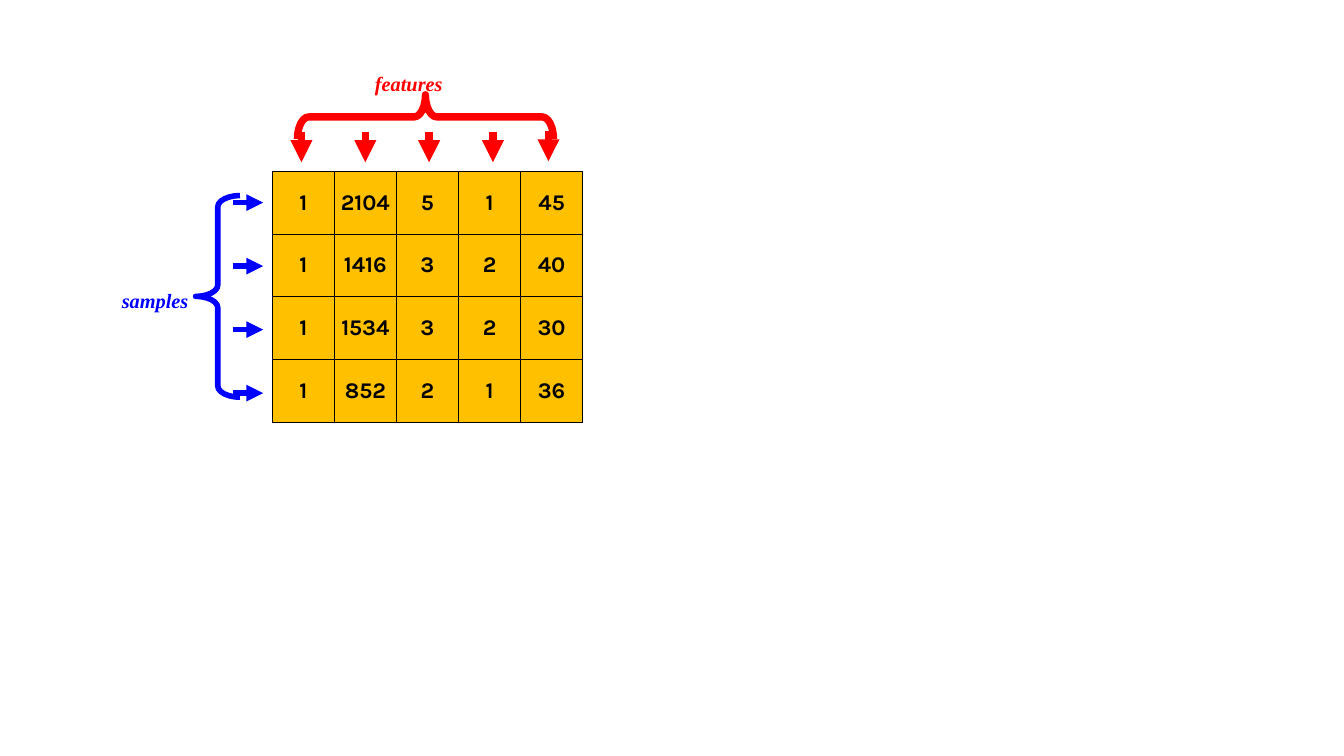
import pptx
import pptx.util
import pptx.dml.color
import pptx.enum.shapes
import pptx.enum.text
import pptx.oxml
import pptx.oxml.ns
from lxml import etree

Inches = pptx.util.Inches
Pt = pptx.util.Pt
RGBColor = pptx.dml.color.RGBColor
qn = pptx.oxml.ns.qn

BLACK = RGBColor(0x00, 0x00, 0x00)
AMBER = RGBColor(0xFF, 0xC0, 0x00)
RED = RGBColor(0xFF, 0x00, 0x00)
BLUE = RGBColor(0x00, 0x00, 0xFF)

SAMPLES = [
    [1, 2104, 5, 1, 45],
    [1, 1416, 3, 2, 40],
    [1, 1534, 3, 2, 30],
    [1, 852, 2, 1, 36],
]


class MatrixSlide:
    table_font = "Karla"
    label_font = "Times New Roman"

    def __init__(self, presentation):
        self.slide = presentation.slides.add_slide(presentation.slide_layouts[6])

    def format_font(self, paragraph, name, size, color, italic=False):
        for run in paragraph.runs:
            run.font.name = name
            run.font.size = Pt(size)
            run.font.bold = True
            run.font.italic = italic
            run.font.color.rgb = color

    def border_cell(self, cell):
        properties = cell._tc.get_or_add_tcPr()
        for position, side in enumerate(("a:lnL", "a:lnR", "a:lnT", "a:lnB")):
            border = etree.Element(qn(side), w=str(Pt(1)))
            fill = etree.SubElement(border, qn("a:solidFill"))
            etree.SubElement(fill, qn("a:srgbClr"), val=str(BLACK))
            properties.insert(position, border)

    def table(self, values, left, top, width, height):
        frame = self.slide.shapes.add_table(
            len(values), len(values[0]),
            Inches(left), Inches(top), Inches(width), Inches(height))
        table = frame.table
        table.first_row = False
        table.horz_banding = False
        for row, row_values in enumerate(values):
            for column, value in enumerate(row_values):
                cell = table.cell(row, column)
                cell.fill.solid()
                cell.fill.fore_color.rgb = AMBER
                cell.margin_left = cell.margin_right = Inches(0.02)
                cell.margin_top = cell.margin_bottom = Inches(0.01)
                cell.vertical_anchor = pptx.enum.text.MSO_ANCHOR.MIDDLE
                cell.text_frame.text = str(value)
                paragraph = cell.text_frame.paragraphs[0]
                paragraph.alignment = pptx.enum.text.PP_ALIGN.CENTER
                self.format_font(paragraph, self.table_font, 16, BLACK)
                self.border_cell(cell)

    def label(self, text, left, top, width, height, color):
        box = self.slide.shapes.add_textbox(
            Inches(left), Inches(top), Inches(width), Inches(height))
        frame = box.text_frame
        frame.word_wrap = False
        frame.auto_size = pptx.enum.text.MSO_AUTO_SIZE.SHAPE_TO_FIT_TEXT
        frame.text = text
        self.format_font(frame.paragraphs[0], self.label_font, 14.5, color, italic=True)

    def group(self):
        return self.slide.shapes.add_group_shape().shapes

    def arrow(self, shapes, start, end, color, weight):
        connector = shapes.add_connector(
            pptx.enum.shapes.MSO_CONNECTOR.STRAIGHT,
            Inches(start[0]), Inches(start[1]), Inches(end[0]), Inches(end[1]))
        connector.line.color.rgb = color
        connector.line.width = Pt(weight)
        etree.SubElement(connector.line._get_or_add_ln(), qn("a:tailEnd"), type="triangle")
        etree.SubElement(connector._element.spPr, qn("a:effectLst"))

    def brace(self, shapes, left, top, width, height, rotation, color, weight):
        shape = shapes.add_shape(
            pptx.enum.shapes.MSO_SHAPE.RIGHT_BRACE,
            Inches(left), Inches(top), Inches(width), Inches(height))
        shape.rotation = rotation
        shape.adjustments[0] = 0.254
        shape.adjustments[1] = 0.5
        shape.shadow.inherit = False
        shape.fill.background()
        shape.line.color.rgb = color
        shape.line.width = Pt(weight)


def main():
    presentation = pptx.Presentation()
    presentation.slide_width = Inches(13.33)
    presentation.slide_height = Inches(7.5)
    matrix = MatrixSlide(presentation)

    # Data matrix
    matrix.table(SAMPLES, 2.7, 1.7, 3.08, 2.49)

    # Features: arrows onto the columns, under a brace
    matrix.label("features", 3.62, 0.66, 0.88, 0.35, RED)
    features = matrix.group()
    for column in range(4):
        x = 2.99 + 0.633 * column
        matrix.arrow(features, (x, 1.31), (x, 1.61), RED, 5.25)
    matrix.brace(features, 4, -0.11, 0.44, 2.54, 270, RED, 5.25)

    # Samples: arrows onto the rows, beside a brace
    samples = matrix.group()
    for row in range(len(SAMPLES)):
        y = 2.01 + 0.63 * row
        matrix.arrow(samples, (2.31, y), (2.61, y), BLUE, 4)
    matrix.brace(samples, 1.94, 1.94, 0.44, 2, 180, BLUE, 4)
    matrix.label("samples", 1.11, 2.81, 0.87, 0.35, BLUE)

    # Arrow onto the last column
    matrix.arrow(matrix.slide.shapes, (5.44, 1.3), (5.44, 1.6), RED, 5.25)

    presentation.save("out.pptx")


if __name__ == "__main__":
    main()
